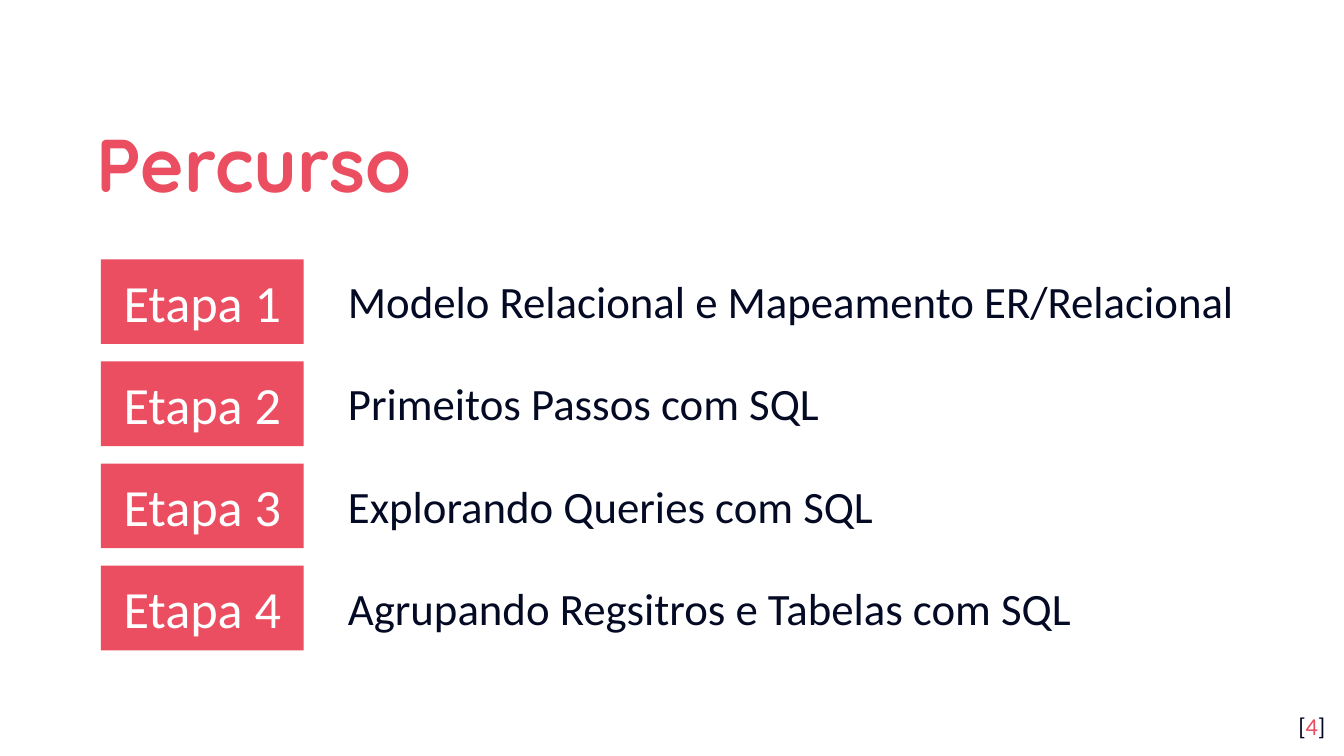
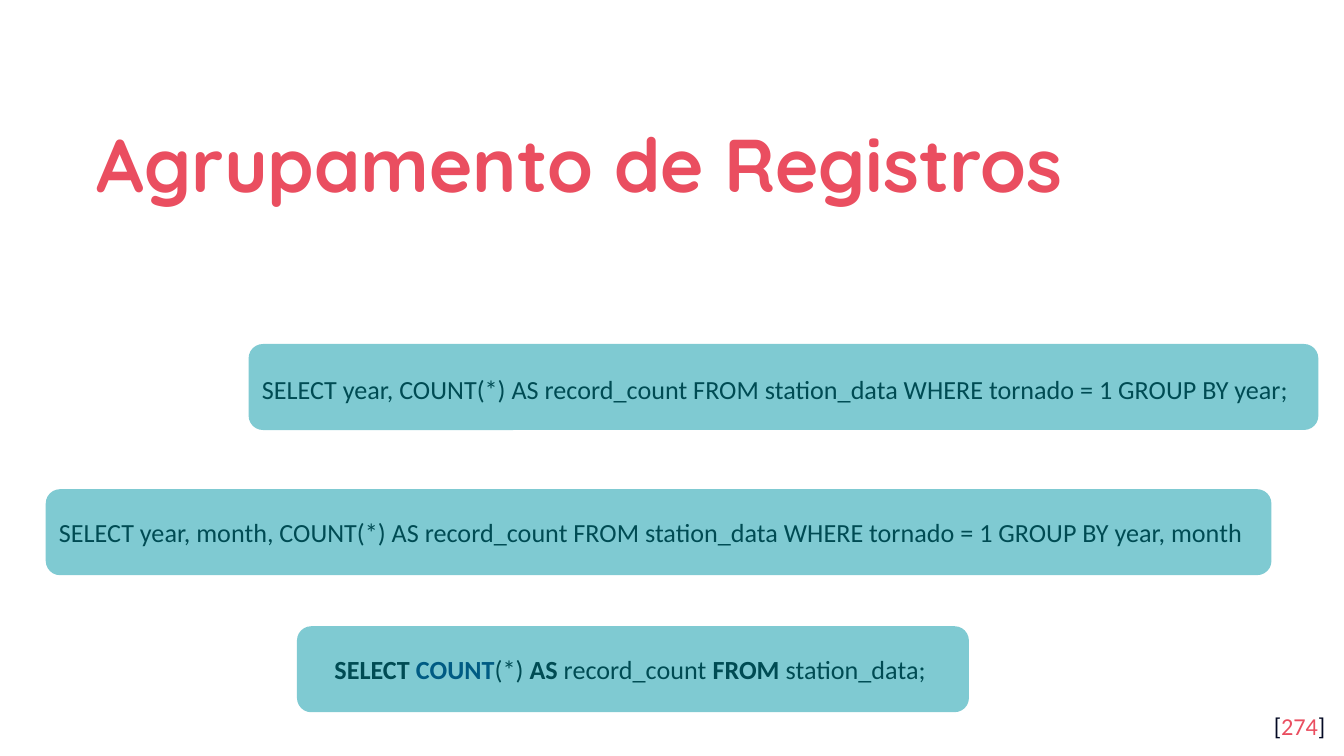
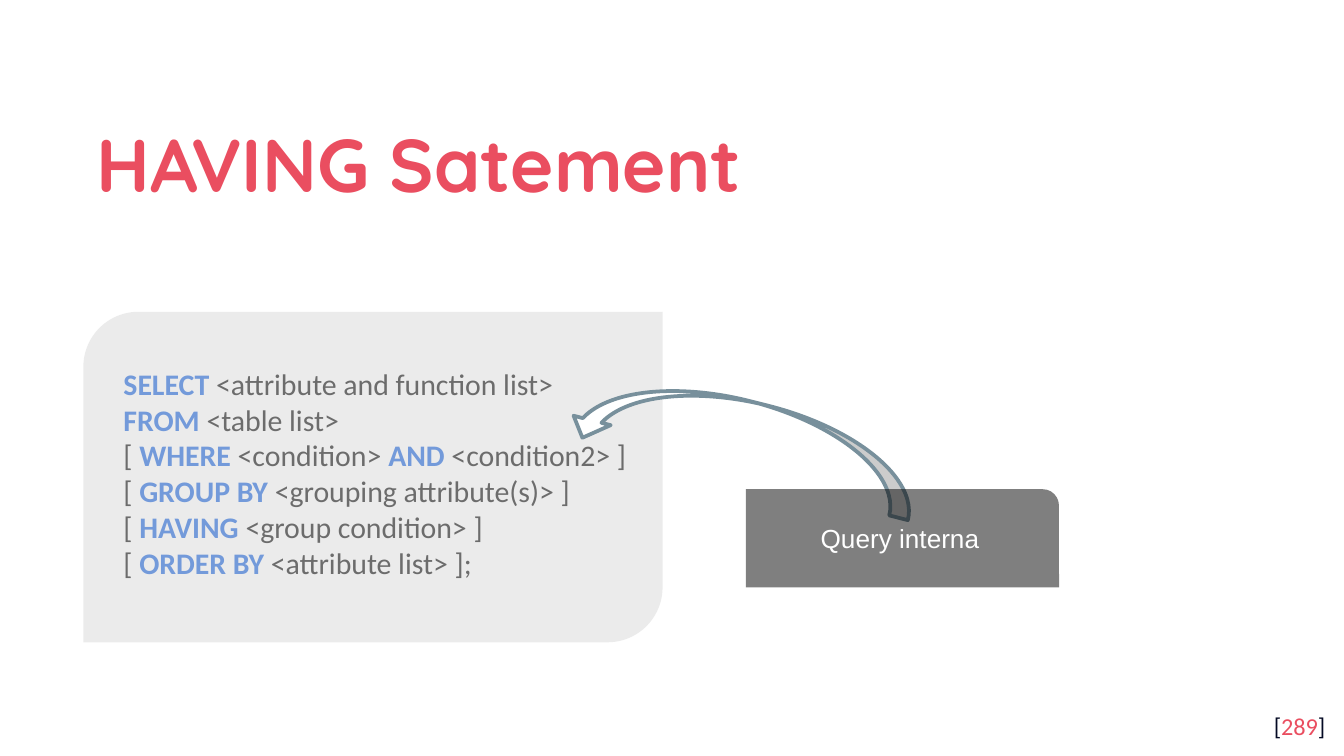
from lxml.etree import SubElement
from pptx import Presentation
from pptx.dml.color import RGBColor
from pptx.enum.shapes import MSO_SHAPE as Shape
from pptx.enum.text import MSO_ANCHOR as Anchor, MSO_AUTO_SIZE as AutoSize, PP_ALIGN as Align
from pptx.oxml.ns import qn
from pptx.util import Inches, Pt

CORAL = RGBColor(0xEA, 0x4E, 0x60)
NAVY = RGBColor(0x04, 0x0A, 0x24)
WHITE = RGBColor(0xFF, 0xFF, 0xFF)
BLACK = RGBColor(0x00, 0x00, 0x00)
TEAL = RGBColor(0x00, 0x97, 0xA7)
FUNCTION_BLUE = RGBColor(0x00, 0x20, 0x60)
KEYWORD_BLUE = RGBColor(0x0D, 0x5B, 0xDC)
PANEL_GRAY = RGBColor(0xD9, 0xD9, 0xD9)
SLATE = RGBColor(0x78, 0x90, 0x9C)

TITLE_FONT = "Quicksand"
BODY_FONT = "Calibri"
LABEL_FONT = "Arial"

STEPS = [
    "Modelo Relacional e Mapeamento ER/Relacional",
    "Primeitos Passos com SQL",
    "Explorando Queries com SQL",
    "Agrupando Regsitros e Tabelas com SQL",
]
STEP_TOP, STEP_PITCH = 1.93, 0.76

COUNT_QUERY = [
    ("SELECT ", BLACK, True), ("COUNT", FUNCTION_BLUE, True), ("(*) ", BLACK, False),
    ("AS ", BLACK, True), ("record_count ", BLACK, False),
    ("FROM ", BLACK, True), ("station_data;", BLACK, False),
]
YEAR_QUERY = [("SELECT year, COUNT(*) AS record_count FROM station_data "
               "WHERE tornado = 1 GROUP BY year;", BLACK, False)]
MONTH_QUERY = [("SELECT year, month, COUNT(*) AS record_count FROM station_data "
                "WHERE tornado = 1 GROUP BY year, month", BLACK, False)]

HAVING_SYNTAX = [
    "|SELECT| <attribute and function list>",
    "|FROM| <table list>",
    "[ |WHERE| <condition> |AND| <condition2> ]",
    "[ |GROUP BY| <grouping attribute(s)> ]",
    "[ |HAVING| <group condition> ]",
    "[ |ORDER BY| <attribute list> ];",
]


def place(box):
    """Turn left, top, width and height in inches into lengths."""
    return [Inches(length) for length in box]


def set_font(paragraph, size, color=None, name=BODY_FONT, bold=False):
    """Format a whole paragraph."""
    font = paragraph.font
    font.name, font.size, font.bold = name, Pt(size), bold
    if color is not None:
        font.color.rgb = color


def set_insets(frame, side, vertical):
    """Set the inner margins of a text frame."""
    frame.margin_left = frame.margin_right = Inches(side)
    frame.margin_top = frame.margin_bottom = Inches(vertical)


def add_text(slide, box, lines, size, align=Align.LEFT, inset=0.05):
    """Add a text box whose lines are lists of (text, color, bold)."""
    frame = slide.shapes.add_textbox(*place(box)).text_frame
    frame.word_wrap = True
    set_insets(frame, 0.1, inset)
    for index, line in enumerate(lines):
        paragraph = frame.add_paragraph() if index else frame.paragraphs[0]
        paragraph.alignment = align
        set_font(paragraph, size)
        for text, color, bold in line:
            run = paragraph.add_run()
            run.text = text
            run.font.color.rgb, run.font.bold = color, bold


def add_panel(slide, kind, box, color, opacity=100):
    """Add a borderless filled shape."""
    panel = slide.shapes.add_shape(kind, *place(box))
    panel.shadow.inherit = False
    panel.fill.solid()
    panel.fill.fore_color.rgb = color
    panel.line.fill.background()
    if opacity < 100:
        fill_color = panel.element.spPr.find(qn("a:solidFill"))[0]
        SubElement(fill_color, qn("a:alpha"), val=str(opacity * 1000))
    return panel


def add_label(panel, text, size, name=BODY_FONT):
    """Write centred white text in a panel."""
    frame = panel.text_frame
    frame.text = text
    frame.vertical_anchor = Anchor.MIDDLE
    frame.paragraphs[0].alignment = Align.CENTER
    set_font(frame.paragraphs[0], size, WHITE, name)


def add_titled_slide(deck, title, number):
    """Add a slide with its title and bracketed page number."""
    slide = deck.slides.add_slide(deck.slide_layouts[5])
    heading = slide.shapes.title
    heading.left, heading.top, heading.width, heading.height = place((0.62, 0.7, 8.68, 0.92))
    frame = heading.text_frame
    frame.text = title
    frame.auto_size = AutoSize.NONE
    frame.vertical_anchor = Anchor.MIDDLE
    set_insets(frame, 0.1, 0.1)
    paragraph = frame.paragraphs[0]
    paragraph.alignment = Align.LEFT
    paragraph.line_spacing = 1.15
    set_font(paragraph, 40, CORAL, TITLE_FONT, True)
    page = [("[", NAVY, False), (str(number), CORAL, False), ("]", NAVY, False)]
    add_text(slide, (9.36, 5.19, 0.6, 0.43), [page], 13, Align.RIGHT, 0.1)
    return slide


def add_step(slide, index, topic):
    """Add one numbered step with its topic."""
    top = STEP_TOP + index * STEP_PITCH
    badge = add_panel(slide, Shape.RECTANGLE, (0.75, top, 1.51, 0.63), CORAL)
    add_label(badge, f"Etapa {index + 1}", 28)
    add_text(slide, (2.49, top + 0.06, 6.88, 0.5), [[(topic, NAVY, False)]], 24)


def add_query(slide, query, text_box, panel_box):
    """Add a one-line query under a translucent teal panel."""
    add_text(slide, text_box, [query], 14)
    add_panel(slide, Shape.ROUNDED_RECTANGLE, panel_box, TEAL, 50)


def split_keywords(line):
    """Color and bolden the keywords between bars."""
    return [(part, KEYWORD_BLUE if index % 2 else BLACK, index % 2 == 1)
            for index, part in enumerate(line.split("|")) if part]


def add_curved_arrow(slide, box, rotation):
    """Add the outlined arrow from the inner query to the syntax."""
    arrow = add_panel(slide, Shape.CURVED_RIGHT_ARROW, box, WHITE)
    arrow.rotation = rotation
    arrow.line.color.rgb = SLATE
    arrow.line.width = Pt(2)


def main():
    """Build and save the deck."""
    deck = Presentation()
    deck.slide_width = Inches(10)
    deck.slide_height = deck.slide_width * 9 // 16

    route = add_titled_slide(deck, "Percurso", 4)
    for index, topic in enumerate(STEPS):
        add_step(route, index, topic)

    grouping = add_titled_slide(deck, "Agrupamento de Registros", 274)
    add_query(grouping, COUNT_QUERY, (2.39, 4.81, 5, 0.34), (2.21, 4.66, 5, 0.64))
    add_query(grouping, YEAR_QUERY, (1.85, 2.73, 8.11, 0.34), (1.85, 2.56, 7.96, 0.64))
    add_query(grouping, MONTH_QUERY, (0.34, 3.79, 9.22, 0.34), (0.34, 3.64, 9.12, 0.64))

    having = add_titled_slide(deck, "HAVING Satement", 289)
    syntax = [split_keywords(line) for line in HAVING_SYNTAX]
    add_text(having, (0.82, 2.67, 3.99, 1.72), syntax, 16)
    add_panel(having, Shape.ROUND_2_DIAG_RECTANGLE, (0.62, 2.32, 4.31, 2.46), PANEL_GRAY, 50)
    add_curved_arrow(having, (5.26, 1.95, 0.57, 2.64), 104.2)
    inner_query = add_panel(having, Shape.ROUND_1_RECTANGLE, (5.55, 3.64, 2.33, 0.73), BLACK, 50)
    add_label(inner_query, "Query interna", 14, LABEL_FONT)

    deck.save("out.pptx")


if __name__ == "__main__":
    main()
